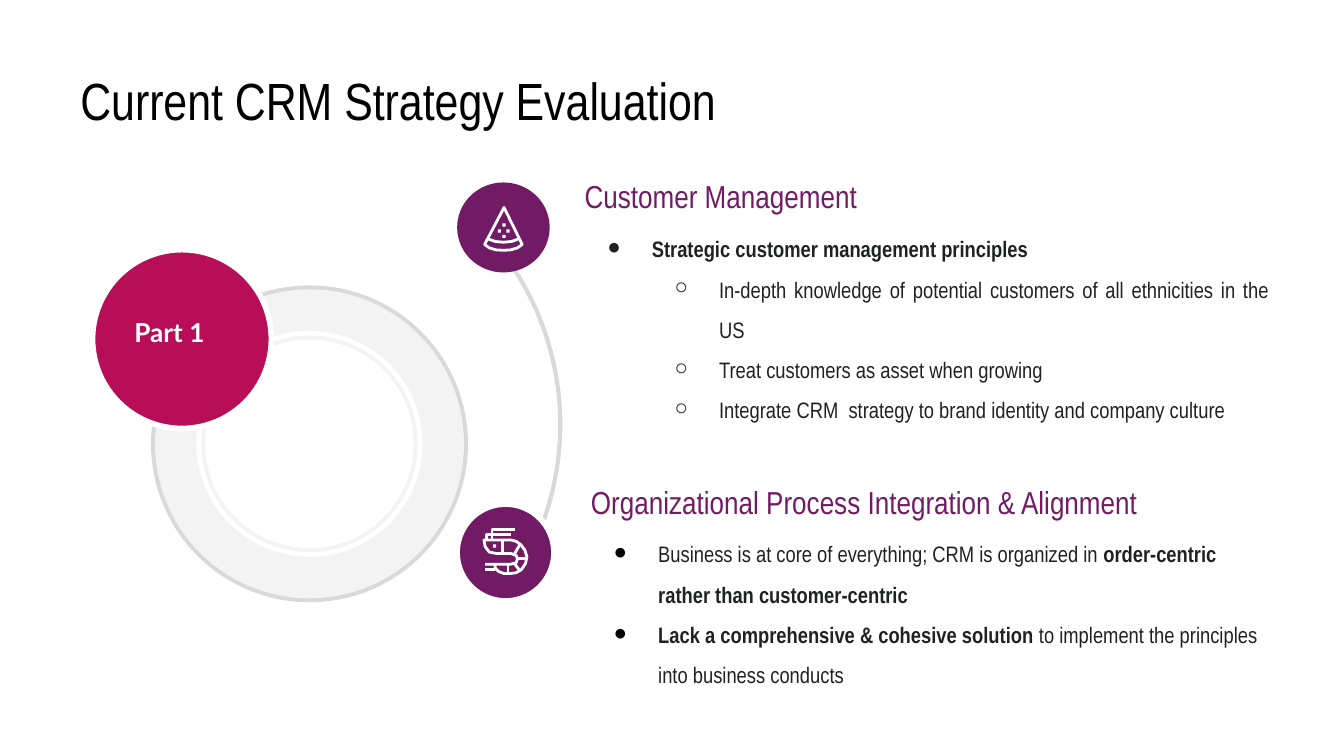
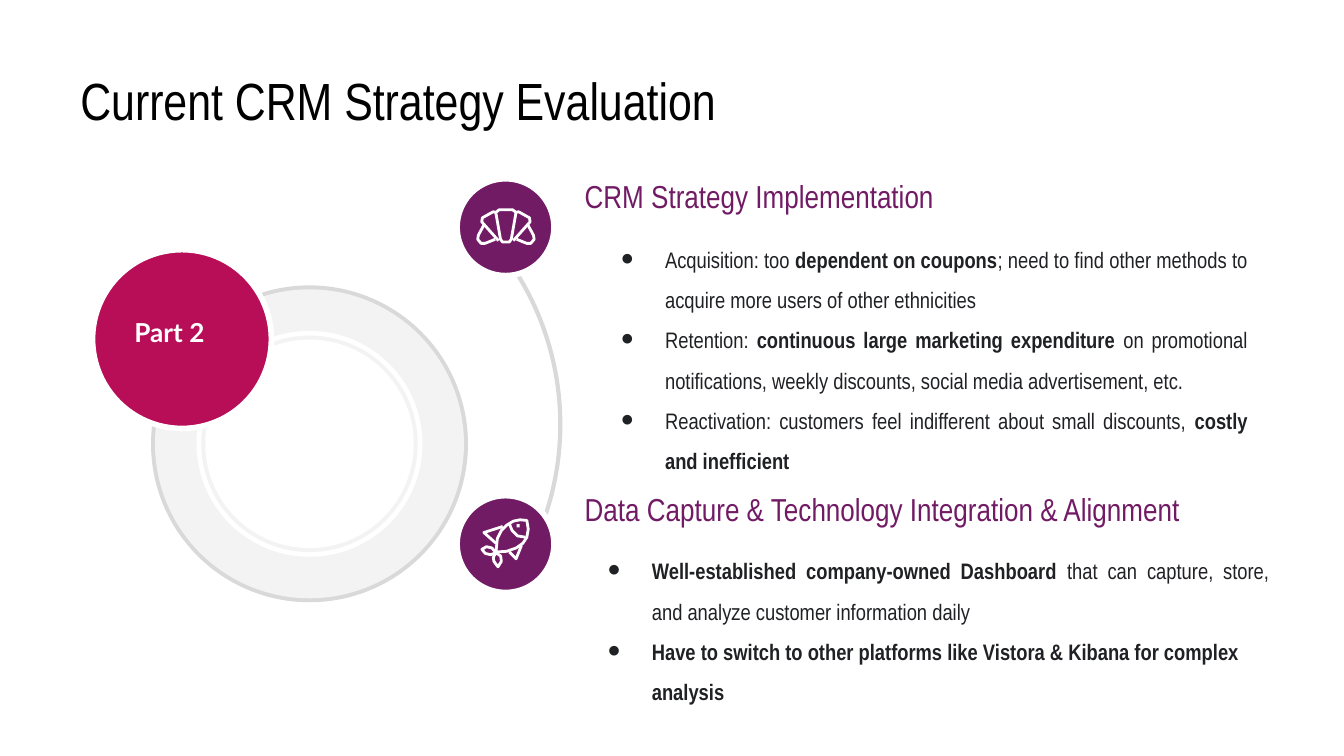
from dataclasses import dataclass

from lxml import etree
from pptx import Presentation
from pptx.dml.color import RGBColor
from pptx.enum.shapes import MSO_SHAPE
from pptx.enum.text import MSO_ANCHOR, PP_ALIGN
from pptx.oxml.ns import qn
from pptx.util import Cm, Pt

OVAL, ARC, RECT = MSO_SHAPE.OVAL, MSO_SHAPE.ARC, MSO_SHAPE.RECTANGLE
LEFT, JUSTIFY = PP_ALIGN.LEFT, PP_ALIGN.JUSTIFY
TOP, MIDDLE = MSO_ANCHOR.TOP, MSO_ANCHOR.MIDDLE


@dataclass(frozen=True)
class Theme:
    font: str = "Arial Narrow"
    badge_font: str = "Lato"
    title_size: int = 28
    heading_size: int = 17
    badge_size: int = 14
    body_size: int = 12
    black: str = "000000"
    white: str = "FFFFFF"
    body: str = "202124"
    purple: str = "721B65"
    crimson: str = "B80D57"
    grey: str = "D9D9D9"
    pale: str = "F3F3F3"


T = Theme()

# Icon strokes and dots, in hundredths of an inch from the icon's top left
SHELL_RIB = [(15, 3), (13, 2.5), (5, 7), (4.5, 10), (17, 24)]
SHELL_LOBE = [(6, 12.5), (2, 20), (1.5, 23), (4, 26), (7, 26), (14.5, 23)]
SHELL_SIDE = [SHELL_RIB, SHELL_LOBE]
ICONS = {
    "pizza": dict(
        strokes=[
            [(16, 2.5), (1.5, 30), (5, 32.5), (10, 34), (15.5, 34.3), (21, 34),
             (26, 32.5), (29.5, 30), (16, 2.5)],
            [(4.5, 26), (9.5, 27.8), (15.5, 28.3), (21.5, 27.8), (26.5, 26)],
        ],
        dots=[(16, 15.5), (12.5, 20), (19, 20), (16, 24)]),
    "shrimp": dict(
        strokes=[
            [(24, 1), (7, 1), (7, 9)],
            [(21, 5), (3, 5), (3, 9)],
            [(10, 19), (5, 18), (2, 14), (1, 9), (21, 9), (25, 10), (28.5, 12.5),
             (31.5, 16.5), (33, 21.5), (32, 26.5), (29, 31), (25, 33.4), (20, 34),
             (16, 34), (12, 32.5), (9.5, 30), (9, 27)],
            [(10, 19), (21, 19), (25, 20.5), (26, 23), (25, 26), (21, 27), (2, 27)],
            [(2, 31), (9, 31)],
            [(15, 9), (15, 19)],
            [(28, 12), (24, 19)],
            [(33, 23), (26, 23)],
            [(28, 32), (24, 27)],
            [(19, 27), (19, 34)],
        ],
        dots=[(9, 13.5)]),
    "shell": dict(
        strokes=[
            [(17.5, 1), (27.5, 1), (30, 3), (26.5, 23), (25, 25), (20, 25),
             (18.5, 23), (15, 3), (17.5, 1)],
            *SHELL_SIDE,
            *[[(45 - x, y) for x, y in stroke] for stroke in SHELL_SIDE],
        ],
        dots=[]),
    "fish": dict(
        strokes=[
            [(35, 1.5), (30, 1), (25, 2), (20, 5), (16, 9), (13, 15), (12, 25),
             (20, 24.5), (27, 22), (32, 18.5), (35, 14), (36, 8), (35, 1.5)],
            [(22, 4), (24, 9), (28, 13), (34, 14)],
            [(17, 6), (3, 10.5), (12, 18.5)],
            [(22, 25), (27, 30), (31, 20)],
            [(12, 25.5), (9, 22), (5, 21), (1.5, 23), (4, 26), (8, 27), (12, 25.5)],
            [(12, 25.5), (10, 29), (10.5, 32), (13.5, 36), (16, 32), (15.5, 28),
             (12, 25.5)],
        ],
        dots=[(28.5, 5.5)]),
}

# Slide content: boxes are (left, top, width, height) in cm, ** marks bold
TITLE = "Current CRM Strategy Evaluation"
SLIDES = [
    dict(
        badge="Part 1", arc_start=326.03,
        icons=[("pizza", (8.64, 3.45, 1.75, 1.7), (9.12, 3.86), False),
               ("shrimp", (8.64, 9.53, 1.83, 1.83), (9.12, 9.98), True)],
        sections=[
            ("Customer Management", (10.8, 3.23, 10.44, 0.94),
             (10.8, 3.71, 13.44, 4.78), T.body, [
                (0, LEFT, "**Strategic customer management principles**"),
                (1, JUSTIFY, "In-depth knowledge of potential customers of all "
                             "ethnicities in the US"),
                (1, JUSTIFY, "Treat customers as asset when growing"),
                (1, JUSTIFY, "Integrate CRM  strategy to brand identity and "
                             "company culture")]),
            ("Organizational Process Integration & Alignment", (10.92, 9.02, 11.99, 0.94),
             (10.92, 9.86, 13.21, 3.25), T.black, [
                (0, LEFT, "Business is at core of everything; CRM is organized in "
                          "**order-centric rather than customer-centric**"),
                (0, LEFT, "**Lack a comprehensive & cohesive solution** to "
                          "implement the principles into business conducts")]),
        ]),
    dict(
        badge="Part 2", arc_start=325.08,
        icons=[("shell", (8.64, 3.38, 1.83, 1.83), (8.99, 3.94), True),
               ("fish", (8.64, 9.37, 1.83, 1.83), (9.07, 9.8), True)],
        sections=[
            ("CRM Strategy Implementation", (10.8, 3.23, 10.44, 0.94),
             (11.05, 4.24, 12.78, 4.88), T.body, [
                (0, JUSTIFY, "Acquisition: too **dependent on coupons**; need to find "
                             "other methods to acquire more users of other ethnicities"),
                (0, JUSTIFY, "Retention: **continuous large marketing expenditure** on "
                             "promotional notifications, weekly discounts, social media "
                             "advertisement, etc."),
                (0, JUSTIFY, "Reactivation: customers feel indifferent about small "
                             "discounts, **costly and inefficient**")]),
            ("Data Capture & Technology Integration & Alignment", (10.8, 9.14, 13.28, 0.94),
             (10.8, 10.44, 13.44, 2.74), T.body, [
                (0, JUSTIFY, "**Well-established company-owned Dashboard** that can "
                             "capture, store, and analyze customer information daily"),
                (0, LEFT, "**Have to switch to other platforms like Vistora & Kibana "
                          "for complex analysis**")]),
        ]),
]

TITLE_BOX = (1.27, 1.04, 22.86, 1.6)
BADGE_BOX = (1.75, 4.72, 3.38, 3.38)
BADGE_TEXT_BOX = (2.29, 5.74, 2.49, 1.12)
ARC_BOX, ARC_END = (-0.18, 2.64, 10.77, 10.77), 28
RING_CENTRE = (5.85, 8.39)
RINGS = [(5.99, T.grey), (5.84, T.pale), (4.27, T.white), (4.09, T.pale), (3.94, T.white)]
INSET = 0.25
BULLETS, BULLET_STEP, BULLET_HANG = "●○", 1.27, 0.84
DOT = 0.06
ICON_UNIT = Cm(2.54) / 100
FINE = 10  # freeform points are whole numbers, so units are split in ten


def rgb(value):
    return RGBColor.from_string(value)


def add_shape(s, kind, box, fill=None, line=None, width=0):
    sp = s.shapes.add_shape(kind, *map(Cm, box))
    paint(sp, fill, line, width)
    return sp


def paint(sp, fill, line, width):
    sp.shadow.inherit = False
    if fill:
        sp.fill.solid()
        sp.fill.fore_color.rgb = rgb(fill)
    else:
        sp.fill.background()
    if line:
        sp.line.color.rgb = rgb(line)
        sp.line.width = Pt(width)
    else:
        sp.line.fill.background()


def add_frame(s, box, anchor):
    tf = s.shapes.add_textbox(*map(Cm, box)).text_frame
    tf.word_wrap = True
    tf.vertical_anchor = anchor
    tf.margin_left = tf.margin_right = tf.margin_top = tf.margin_bottom = Cm(INSET)
    return tf


def style(r, size, color, bold=False, font=T.font):
    r.font.name, r.font.size, r.font.bold = font, Pt(size), bold
    r.font.color.rgb = rgb(color)


def add_label(s, text, box, anchor, *look, **more):
    tf = add_frame(s, box, anchor)
    tf.text = text
    style(tf.paragraphs[0].runs[0], *look, **more)


def set_bullet(p, level, color):
    pPr = p._p.get_or_add_pPr()
    pPr.set("marL", str(Cm(BULLET_STEP * (level + 1))))
    pPr.set("indent", str(-Cm(BULLET_HANG)))
    clr = etree.SubElement(pPr, qn("a:buClr"))
    etree.SubElement(clr, qn("a:srgbClr")).set("val", color)
    etree.SubElement(pPr, qn("a:buFont")).set("typeface", T.font)
    etree.SubElement(pPr, qn("a:buChar")).set("char", BULLETS[level])


def add_bullets(s, box, color, items):
    tf = add_frame(s, box, MIDDLE)
    for i, (level, align, text) in enumerate(items):
        p = tf.add_paragraph() if i else tf.paragraphs[0]
        set_bullet(p, level, color)
        p.level, p.alignment, p.line_spacing = level, align, 1.5
        for n, part in enumerate(text.split("**")):
            if part:
                r = p.add_run()
                r.text = part
                style(r, T.body_size, T.body, bold=n % 2 == 1)


def add_icon(s, name, disc, corner, outlined):
    add_shape(s, OVAL, disc, T.purple, T.white if outlined else None, 3)
    left, top = map(Cm, corner)
    icon = ICONS[name]
    fb = None
    for stroke in icon["strokes"]:
        start, *rest = [(x * FINE, y * FINE) for x, y in stroke]
        if fb is None:
            fb = s.shapes.build_freeform(*start, scale=ICON_UNIT / FINE)
        else:
            fb.move_to(*start)
        fb.add_line_segments(rest, close=False)
    paint(fb.convert_to_shape(left, top), None, T.white, 1.5)
    for x, y in icon["dots"]:
        x, y = (c + v * 0.0254 - DOT / 2 for c, v in zip(corner, (x, y)))
        add_shape(s, RECT, (x, y, DOT, DOT), T.white)


def add_wheel(s, badge, arc_start):
    # Concentric rings
    cx, cy = RING_CENTRE
    for d, fill in RINGS:
        add_shape(s, OVAL, (cx - d / 2, cy - d / 2, d, d), fill)
    # Arc between the icons: angles are stored in 60000ths of a degree
    arc = add_shape(s, ARC, ARC_BOX, None, T.grey, 2.25)
    for i, angle in enumerate((arc_start, ARC_END)):
        arc.adjustments[i] = angle * 0.6
    # Part badge
    add_shape(s, OVAL, BADGE_BOX, T.crimson, T.white, 3)
    add_label(s, badge, BADGE_TEXT_BOX, TOP, T.badge_size, T.white,
              bold=True, font=T.badge_font)


def main():
    prs = Presentation()
    prs.slide_width, prs.slide_height = Cm(25.4), Cm(14.29)
    for content in SLIDES:
        s = prs.slides.add_slide(prs.slide_layouts[6])
        add_label(s, TITLE, TITLE_BOX, TOP, T.title_size, T.black)
        add_wheel(s, content["badge"], content["arc_start"])
        for icon in content["icons"]:
            add_icon(s, *icon)
        for heading, heading_box, body_box, bullet_color, items in content["sections"]:
            add_label(s, heading, heading_box, MIDDLE, T.heading_size, T.purple)
            add_bullets(s, body_box, bullet_color, items)
    prs.save("out.pptx")


if __name__ == "__main__":
    main()
